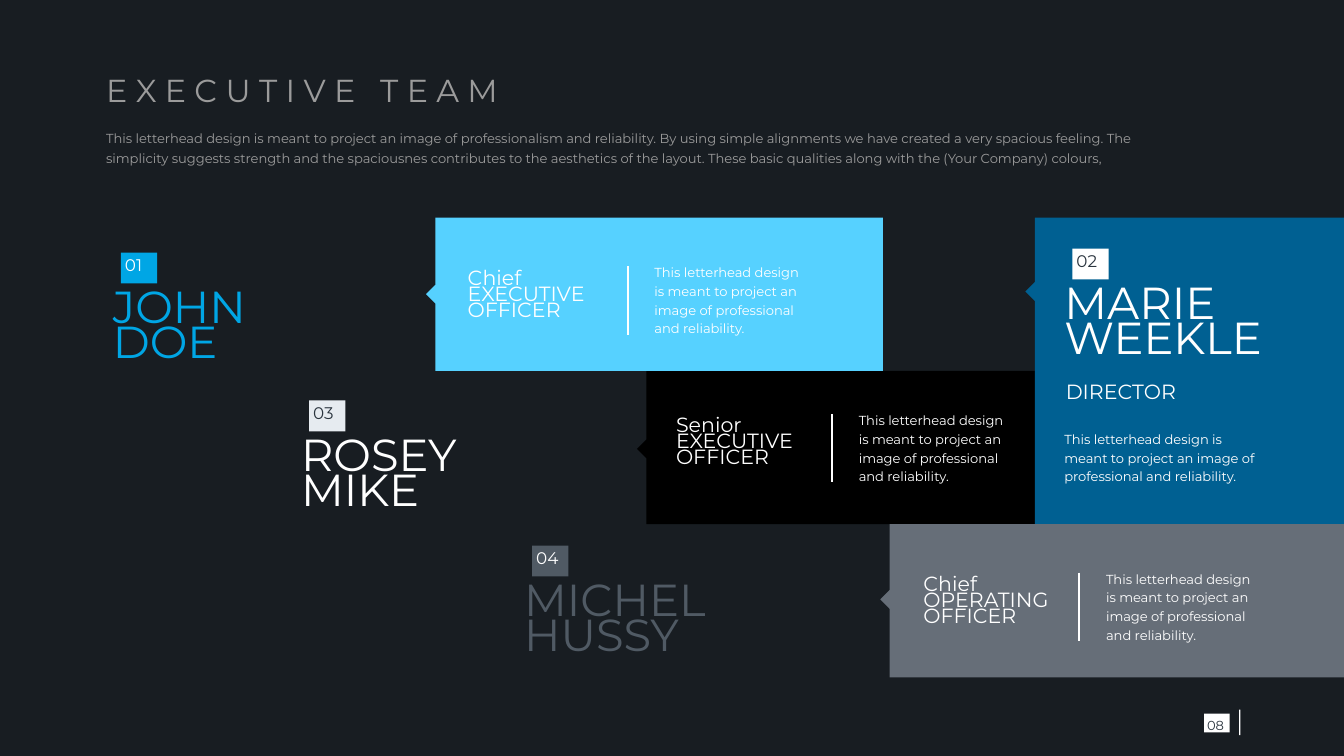
from dataclasses import dataclass

from lxml import etree
from pptx import Presentation
from pptx.dml.color import RGBColor
from pptx.enum.shapes import MSO_CONNECTOR, MSO_SHAPE
from pptx.enum.text import MSO_ANCHOR, MSO_AUTO_SIZE, PP_ALIGN
from pptx.oxml.ns import qn
from pptx.util import Inches, Pt


@dataclass(frozen=True)
class Theme:
    font: str = "Montserrat"
    background: str = "181D22"
    muted: str = "9B9B9B"
    white: str = "FFFFFF"
    ink: str = "2B353F"
    pale: str = "E6EBF0"
    azure: str = "00A6E5"
    sky: str = "56D1FF"
    navy: str = "006092"
    black: str = "000000"
    slate: str = "505A64"
    grey: str = "666E78"
    title_size: int = 17
    name_size: int = 24
    role_size: int = 11
    number_size: int = 9
    body_size: int = 7


theme = Theme()
presentation = Presentation()
presentation.slide_width = Inches(10)
presentation.slide_height = Inches(10 * 9 / 16)
slide = presentation.slides.add_slide(presentation.slide_layouts[5])
slide.background.fill.solid()
slide.background.fill.fore_color.rgb = RGBColor.from_string(theme.background)


def write(text, left, top, width, height, size, color, spacing, align=PP_ALIGN.LEFT, box=None):
    """Write text into box, or into a new text box, one paragraph per line."""
    box = box or slide.shapes.add_textbox(0, 0, 0, 0)
    box.left, box.top = Inches(left), Inches(top)
    box.width, box.height = Inches(width), Inches(height)
    frame = box.text_frame
    frame.text = text
    frame.word_wrap = True
    frame.auto_size = MSO_AUTO_SIZE.NONE
    frame.vertical_anchor = MSO_ANCHOR.MIDDLE
    frame.margin_left = frame.margin_right = frame.margin_top = frame.margin_bottom = 0
    for paragraph in frame.paragraphs:
        paragraph.alignment = align
        paragraph.line_spacing = spacing
        for run in paragraph.runs:
            run.font.name = theme.font
            run.font.size = Pt(size)
            run.font.color.rgb = RGBColor.from_string(color)


def add_block(left, top, width, height, color, rotation=0):
    block = slide.shapes.add_shape(
        MSO_SHAPE.RECTANGLE, Inches(left), Inches(top), Inches(width), Inches(height))
    block.shadow.inherit = False
    block.fill.solid()
    block.fill.fore_color.rgb = RGBColor.from_string(color)
    block.line.fill.background()
    block.rotation = rotation


# Heading
write(" ".join("EXECUTIVE TEAM"), 0.79, 0.54, 3.06, 0.33, theme.title_size, theme.muted, 0.7,
      box=slide.shapes.title)
write("This letterhead design is meant to project an image of professionalism and reliability. "
      "By using simple alignments we have created a very spacious feeling. The simplicity "
      "suggests strength and the spaciousnes contributes to the aesthetics of the layout. "
      "These basic qualities along with the (Your Company) colours,",
      0.79, 0.93, 8.06, 0.31, theme.body_size, theme.muted, 1.3)

# Cards, each with a small pointer on its left edge
cards = [
    (4.81, 2.76, 2.89, 1.14, 3.29, theme.black),
    (3.24, 1.62, 3.33, 1.14, 2.14, theme.sky),
    (7.7, 1.62, 2.3, 2.28, 2.12, theme.navy),
    (6.62, 3.9, 3.38, 1.14, 4.41, theme.grey),
]
for left, top, width, height, pointer_top, color in cards:
    add_block(left, top, width, height, color)
    add_block(left - 0.05, pointer_top, 0.1, 0.1, color, rotation=45)

# Names with their number badges
people = [
    ("01", "JOHN\nDOE", 0.84, 2.1, 1.14, theme.azure, theme.azure, theme.white),
    ("02", "MARIE WEEKLE", 7.92, 2.07, 1.52, theme.white, theme.white, theme.ink),
    ("03", "ROSEY MIKE", 2.24, 3.2, 1.27, theme.white, theme.pale, theme.ink),
    ("04", "MICHEL HUSSY", 3.9, 4.28, 1.41, theme.slate, theme.slate, theme.white),
]
for number, name, left, top, width, name_color, badge_color, number_color in people:
    write(name, left, top, width, 0.72, theme.name_size, name_color, 0.65)
    add_block(left + 0.06, top - 0.22, 0.27, 0.23, badge_color)
    write(number, left + 0.09, top - 0.21, 0.24, 0.2, theme.number_size, number_color, 0.7)

# Roles and biographies
biography = ("This letterhead design is meant to project an image of professional "
             "and reliability.")
roles = [
    ("Chief\nEXECUTIVE\nOFFICER", 3.48, 1.96, 4.67),
    ("Senior\nEXECUTIVE\nOFFICER", 5.03, 3.06, 6.19),
    ("Chief\nOPERATING OFFICER", 6.87, 4.24, 8.03),
]
for role, left, top, divider_left in roles:
    write(role, left, top, 1.02, 0.49, theme.role_size, theme.white, 0.65)
    write(biography, divider_left + 0.2, top - 0.02, 1.14, 0.57,
          theme.body_size, theme.white, 1.2)
    divider = slide.shapes.add_connector(
        MSO_CONNECTOR.STRAIGHT, Inches(divider_left), Inches(top + 0.02),
        Inches(divider_left), Inches(top + 0.53))
    divider.line.color.rgb = RGBColor.from_string(theme.white)
    divider.line.width = Pt(1)
    etree.SubElement(divider._element.spPr, qn("a:effectLst"))

write("DIRECTOR", 7.93, 2.82, 1.52, 0.23, theme.role_size, theme.white, 0.65)
write(biography, 7.92, 3.18, 1.5, 0.43, theme.body_size, theme.white, 1.2)

# Page number
add_block(8.96, 5.31, 0.19, 0.14, theme.white)
write("08", 8.93, 5.3, 0.23, 0.16, theme.body_size, theme.ink, 1.3, PP_ALIGN.CENTER)
add_block(9.22, 5.28, 0.01, 0.19, theme.white)

presentation.save("out.pptx")
